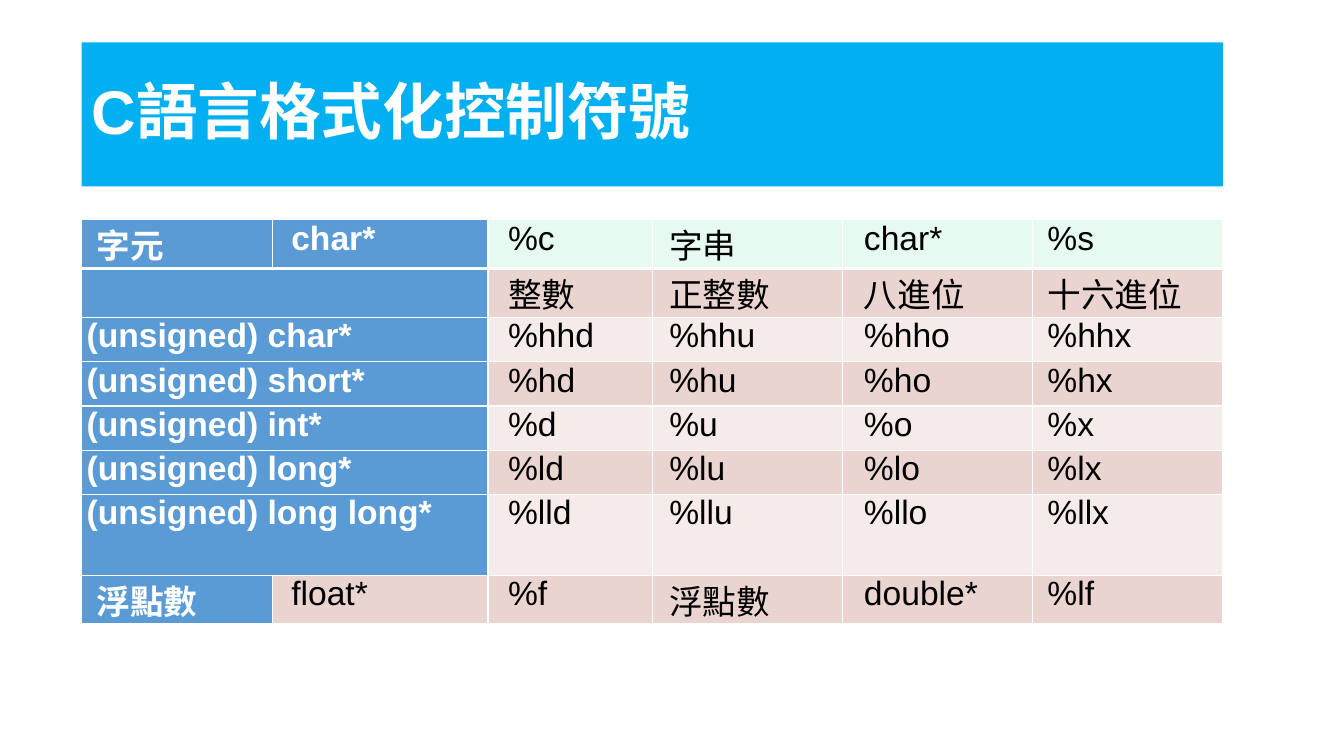
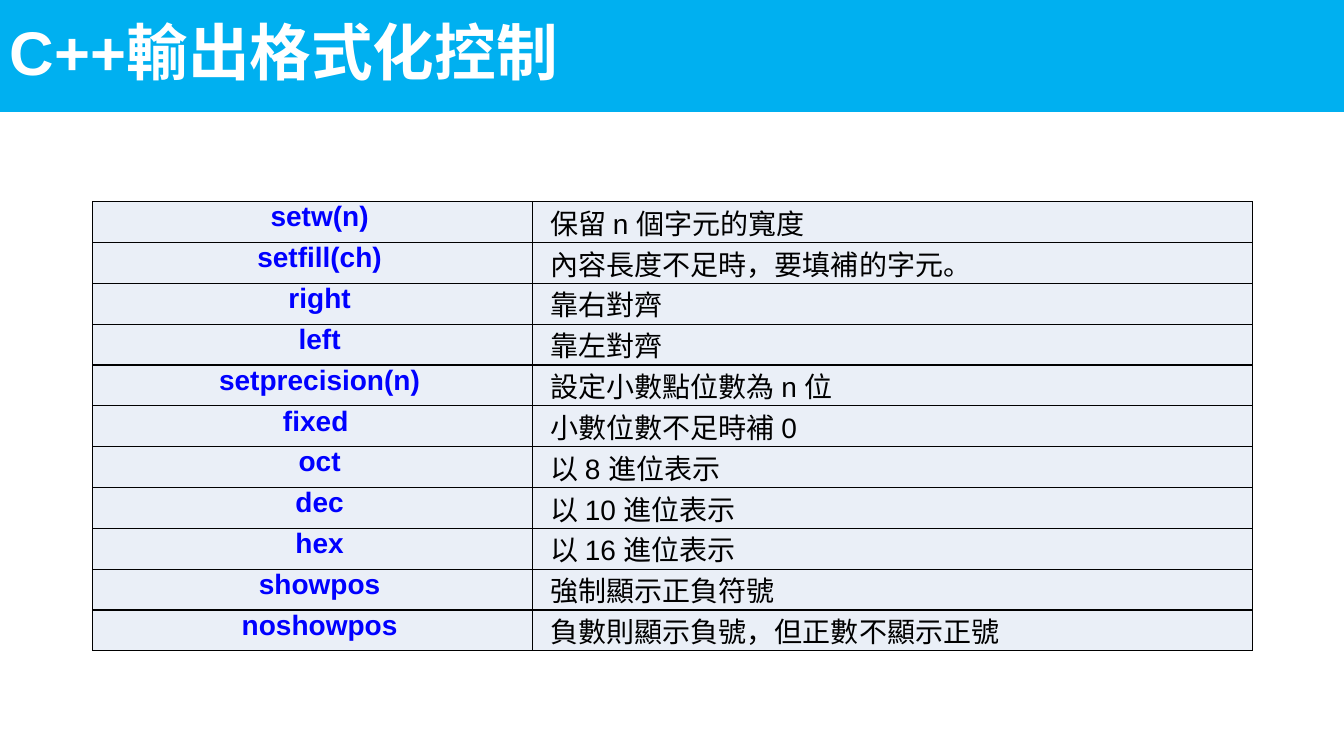
from lxml import etree
from pptx import Presentation
from pptx.dml.color import RGBColor
from pptx.enum import shapes, text
from pptx.oxml import ns
from pptx.util import Inches, Pt

FONT = "Arial"
WHITE = RGBColor(0xFF, 0xFF, 0xFF)
BLACK = RGBColor(0x00, 0x00, 0x00)
BAND_BLUE = RGBColor(0x00, 0xB0, 0xF0)
HEAD_BLUE = RGBColor(0x5B, 0x9B, 0xD5)
MINT = RGBColor(0xE7, 0xFA, 0xF1)
ROSE = RGBColor(0xEA, 0xD4, 0xD0)
PALE_ROSE = RGBColor(0xF5, 0xEB, 0xE9)
PALE_BLUE = RGBColor(0xEA, 0xEF, 0xF7)
KEYWORD_BLUE = RGBColor(0x00, 0x00, 0xFF)


def add_title(slide, wording, left, top, width, height):
    band = slide.shapes.add_shape(shapes.MSO_SHAPE.RECTANGLE, Inches(left),
                                  Inches(top), Inches(width), Inches(height))
    band.shadow.inherit = False
    band.fill.solid()
    band.fill.fore_color.rgb = BAND_BLUE
    band.line.fill.background()
    band.text_frame.vertical_anchor = text.MSO_ANCHOR.MIDDLE
    line = band.text_frame.paragraphs[0]
    line.alignment = text.PP_ALIGN.LEFT
    line.line_spacing = 0.9
    run = line.add_run()
    run.text = wording
    run.font.name, run.font.size, run.font.bold = FONT, Pt(44), True
    run.font.color.rgb = WHITE


def set_cell(cell, wording, size, color, bold, fill, align, indent, edge, top=1, bottom=1):
    cell.margin_left = cell.margin_right = Inches(0.04)
    cell.margin_top = cell.margin_bottom = 0
    # Borders come before the fill in the cell properties
    props = cell._tc.get_or_add_tcPr()
    for side, points in (("L", 1), ("R", 1), ("T", top), ("B", bottom)):
        border = etree.SubElement(props, ns.qn(f"a:ln{side}"), w=str(Pt(points)))
        paint = etree.SubElement(border, ns.qn("a:solidFill"))
        etree.SubElement(paint, ns.qn("a:srgbClr"), val=str(edge))
    cell.fill.solid()
    cell.fill.fore_color.rgb = fill
    line = cell.text_frame.paragraphs[0]
    line.alignment = align
    line._p.get_or_add_pPr().set("indent", str(Inches(indent)))
    if wording:
        run = line.add_run()
        run.text = wording
        run.font.name, run.font.size, run.font.bold = FONT, Pt(size), bold
        run.font.color.rgb = color


prs = Presentation()
prs.slide_width, prs.slide_height = Inches(13.33), Inches(7.5)
blank = prs.slide_layouts[6]

# Slide 1: C format specifiers
c_slide = prs.slides.add_slide(blank)
add_title(c_slide, "C語言格式化控制符號", 0.81, 0.42, 11.32, 1.43)

specifiers = [
    ("字元", "char*", "%c", "字串", "char*", "%s"),
    ("", "", "整數", "正整數", "八進位", "十六進位"),
]
for c_type, prefix in (("char", "hh"), ("short", "h"), ("int", ""),
                       ("long", "l"), ("long long", "ll")):
    specifiers.append((f"(unsigned) {c_type}*", "", *(f"%{prefix}{base}" for base in "duox")))
specifiers.append(("浮點數", "float*", "%f", "浮點數", "double*", "%lf"))

column_widths = [1.89, 2.14, 1.63, 1.89, 1.88, 1.89]
column_indents = [0.11, 0.15, 0.16, 0.13, 0.17, 0.11]
c_table = c_slide.shapes.add_table(len(specifiers), len(column_widths), Inches(0.81),
                                   Inches(2.18), Inches(11.32), Inches(3.9)).table
c_table.first_row = c_table.horz_banding = False
for column, width in zip(c_table.columns, column_widths):
    column.width = Inches(width)

last = len(specifiers) - 1
for r, entries in enumerate(specifiers):
    c_table.rows[r].height = Inches(0.8 if r == last - 1 else 0.44)
    merged = 0 < r < last
    for c, wording in enumerate(entries):
        heading = c == 0 or (c == 1 and r < last)
        if heading:
            fill = HEAD_BLUE
        elif r == 0:
            fill = MINT
        else:
            fill = ROSE if r % 2 else PALE_ROSE
        indent = 0.01 if merged and c == 0 else column_indents[c]
        set_cell(c_table.cell(r, c), wording, 24, WHITE if heading else BLACK, heading,
                 fill, text.PP_ALIGN.JUSTIFY, indent, WHITE,
                 top=3 if r == 1 else 1, bottom=3 if r == 0 else 1)
    if merged:
        c_table.cell(r, 0).merge(c_table.cell(r, 1))

# Slide 2: C++ output manipulators
cpp_slide = prs.slides.add_slide(blank)
add_title(cpp_slide, "C++輸出格式化控制", 0, 0, 13.33, 1.11)

manipulators = [
    ("setw(n)", "保留 n 個字元的寬度"),
    ("setfill(ch)", "內容長度不足時，要填補的字元。"),
    ("right", "靠右對齊"),
    ("left", "靠左對齊"),
    ("setprecision(n)", "設定小數點位數為 n 位"),
    ("fixed ", "小數位數不足時補 0"),
    ("oct", "以 8 進位表示"),
    ("dec", "以 10 進位表示"),
    ("hex", "以 16 進位表示"),
    ("showpos", "強制顯示正負符號"),
    ("noshowpos", "負數則顯示負號，但正數不顯示正號"),
]
cpp_table = cpp_slide.shapes.add_table(len(manipulators), 2, Inches(0.92), Inches(2),
                                       Inches(11.5), Inches(4.46)).table
cpp_table.first_row = cpp_table.horz_banding = False
cpp_table.columns[0].width = Inches(4.36)
cpp_table.columns[1].width = Inches(7.14)
for r, (keyword, meaning) in enumerate(manipulators):
    set_cell(cpp_table.cell(r, 0), keyword, 20, KEYWORD_BLUE, True, PALE_BLUE,
             text.PP_ALIGN.CENTER, 0.14, BLACK)
    set_cell(cpp_table.cell(r, 1), meaning, 20, BLACK, False, PALE_BLUE,
             text.PP_ALIGN.LEFT, 0.14, BLACK)

prs.save("out.pptx")
